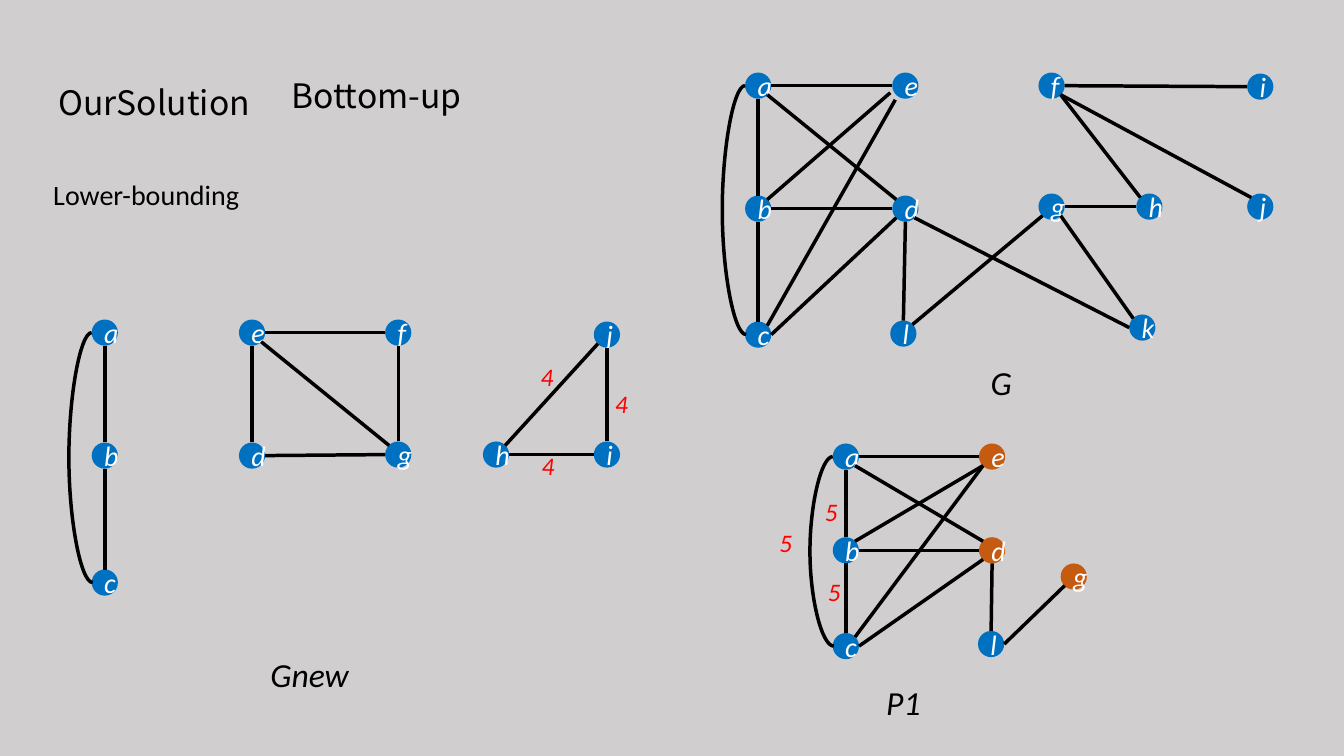
from dataclasses import dataclass

from lxml import etree
from pptx import Presentation
from pptx.dml.color import RGBColor
from pptx.enum.shapes import MSO_CONNECTOR, MSO_SHAPE
from pptx.enum.text import MSO_ANCHOR, MSO_AUTO_SIZE, PP_ALIGN
from pptx.oxml.ns import qn
from pptx.util import Inches, Pt

OVAL = MSO_SHAPE.OVAL
LINE = MSO_CONNECTOR.STRAIGHT
CURVE = MSO_CONNECTOR.CURVE
TOP = MSO_ANCHOR.TOP
GROW = MSO_AUTO_SIZE.SHAPE_TO_FIT_TEXT
LEFT = PP_ALIGN.LEFT
CENTER = PP_ALIGN.CENTER


@dataclass(frozen=True)
class Theme:
    back: str = "D0CECE"
    ink: str = "000000"
    node: str = "0070C0"
    mark: str = "C55A11"
    light: str = "FFFFFF"
    cost: str = "FF0000"
    font: str = "Calibri"
    head: str = "Noto Sans CJK SC"
    big: int = 24
    mid: int = 20
    small: int = 18
    stroke: float = 2.5


THEME = Theme()
SIZE = 0.26
HALF = SIZE / 2
DIAG = 0.09
BOW = 0.24
STEP = 0.01
SITES = {
    "n": (0, -HALF), "s": (0, HALF), "w": (-HALF, 0), "e": (HALF, 0),
    "nw": (-DIAG, -DIAG), "ne": (DIAG, -DIAG),
    "sw": (-DIAG, DIAG), "se": (DIAG, DIAG),
    "x": (-0.15, 0.07), "y": (-0.1, 0.14),
}
CORE = "cn-bs bn-as ew-ae dw-be dsw-ce dnw-ase "


def color(code):
    return RGBColor.from_string(code)


def write(frame, text, size, code, font=THEME.font, slant=True, align=CENTER):
    par = frame.paragraphs[0]
    par.alignment = align
    run = par.add_run()
    run.text = text
    run.font.name = font
    run.font.size = Pt(size)
    run.font.italic = slant
    run.font.color.rgb = color(code)
    return par


def label(shapes, box, text, size, code):
    frame = shapes.add_textbox(*map(Inches, box)).text_frame
    frame.word_wrap = True
    frame.auto_size = GROW
    write(frame, text, size, code)


def heading(shape, box, text, size, font):
    shape.left, shape.top, shape.width, shape.height = map(Inches, box)
    frame = shape.text_frame
    frame.word_wrap = False
    frame.auto_size = GROW
    frame.vertical_anchor = TOP
    return write(frame, text, size, THEME.ink, font, False, LEFT)


def node(shapes, left, top, name, code):
    dot = shapes.add_shape(OVAL, *map(Inches, (left, top, SIZE, SIZE)))
    dot.shadow.inherit = False
    dot.fill.solid()
    dot.fill.fore_color.rgb = color(code)
    dot.line.fill.background()
    write(dot.text_frame, name, THEME.mid, THEME.light)


def link(shapes, kind, start, end):
    line = shapes.add_connector(kind, *map(Inches, (*start, *end)))
    line.line.color.rgb = color(THEME.ink)
    line.line.width = Pt(THEME.stroke)
    etree.SubElement(line._element.spPr, qn("a:effectLst"))
    return line


def graph(shapes, left, top, nodes, edges, bow=False, marks="",
          costs=(), note=None):
    def point(code):
        x, y = nodes[code[0]]
        dx, dy = SITES[code[1:]]
        return left + x + HALF + dx, top + y + HALF + dy

    for name, (x, y) in nodes.items():
        fill = THEME.mark if name in marks else THEME.node
        node(shapes, left + x, top + y, name, fill)
    for edge in edges.split():
        start, end = edge.split("-")
        link(shapes, LINE, point(start), point(end))
    if bow:
        x, y = point("cw")
        arc = link(shapes, CURVE, (x + STEP, y), point("aw"))
        guide = etree.SubElement(
            arc._element.find(".//" + qn("a:avLst")), qn("a:gd"))
        guide.set("name", "adj1")
        guide.set("fmla", f"val {round(BOW / STEP * 100000)}")
    for text, x, y in costs:
        label(shapes, (left + x, top + y, 0.47, 0.4), text,
              THEME.small, THEME.cost)
    if note:
        text, x, y = note
        label(shapes, (left + x, top + y, 1, 0.5), text,
              THEME.big, THEME.ink)


def heads(slide, left, top):
    shapes = slide.shapes
    par = heading(shapes.title, (left + 0.05, top, 2.15, 0.64),
                  "OurSolution", THEME.big, THEME.head)
    par.line_spacing = 1.5
    for x, y, wide, high, text, size, font in (
        (2.36, 0.13, 1.97, 0.5, "Bottom-up", THEME.big, THEME.head),
        (0, 1.15, 2.07, 0.44, "Lower-bounding", THEME.mid, THEME.font),
    ):
        box = left + x, top + y, wide, high
        heading(shapes.add_textbox(0, 0, 0, 0), box, text, size, font)


def full(shapes, left, top):
    nodes = {
        "a": (0, 0), "b": (0, 1.22), "c": (0, 2.47), "d": (1.46, 1.22),
        "e": (1.46, 0), "l": (1.44, 2.46), "f": (2.91, 0), "g": (2.91, 1.2),
        "i": (4.98, 0.01), "h": (3.88, 1.2), "j": (4.98, 1.2),
        "k": (3.81, 2.4),
    }
    edges = CORE + ("ex-bne ey-cne ln-ds lne-gsw hnw-fse hw-ge iw-fe "
                    "jnw-fse knw-gse kw-dse")
    graph(shapes, left, top, nodes, edges, True, note=("G", 2.04, 2.82))


def fresh(shapes, left, top):
    def part():
        return shapes.add_group_shape().shapes

    graph(part(), left, top, {"a": (0, 0), "b": (0, 1.22), "c": (0, 2.48)},
          "cn-bs bn-as", True)
    graph(part(), left + 1.46, top,
          {"d": (0, 1.22), "e": (0, 0), "f": (1.45, 0), "g": (1.45, 1.21)},
          "dn-es gw-de fw-ee gnw-ese gn-fs")
    graph(part(), left + 3.88, top + 0.02,
          {"j": (1.1, 0), "h": (0, 1.19), "i": (1.1, 1.19)},
          "iw-he in-js jsw-hne",
          costs=(("4", 1.14, 0.61), ("4", 0.4, 0.35), ("4", 0.41, 1.23)))
    label(shapes, (left + 1.66, top + 3.27, 1, 0.5), "Gnew",
          THEME.big, THEME.ink)


def first(shapes, left, top):
    nodes = {
        "a": (0, 0), "b": (0, 0.93), "c": (0, 1.88), "d": (1.45, 0.93),
        "e": (1.45, 0), "l": (1.44, 1.86), "g": (2.26, 1.19),
    }
    graph(shapes.add_group_shape().shapes, left, top, nodes,
          CORE + "esw-bne esw-cne ln-ds le-gsw", True, "deg",
          (("5", -0.7, 0.78), ("5", -0.25, 0.47), ("5", -0.22, 1.27)),
          ("P1", 0.2, 2.32))


def main():
    deck = Presentation()
    deck.slide_width, deck.slide_height = Inches(13.33), Inches(7.5)
    slide = deck.slides.add_slide(deck.slide_layouts[5])
    slide.background.fill.solid()
    slide.background.fill.fore_color.rgb = color(THEME.back)
    heads(slide, 0.43, 0.56)
    full(slide.shapes, 7.39, 0.72)
    fresh(slide.shapes, 0.91, 3.17)
    first(slide.shapes, 8.26, 4.4)
    deck.save("out.pptx")


if __name__ == "__main__":
    main()
